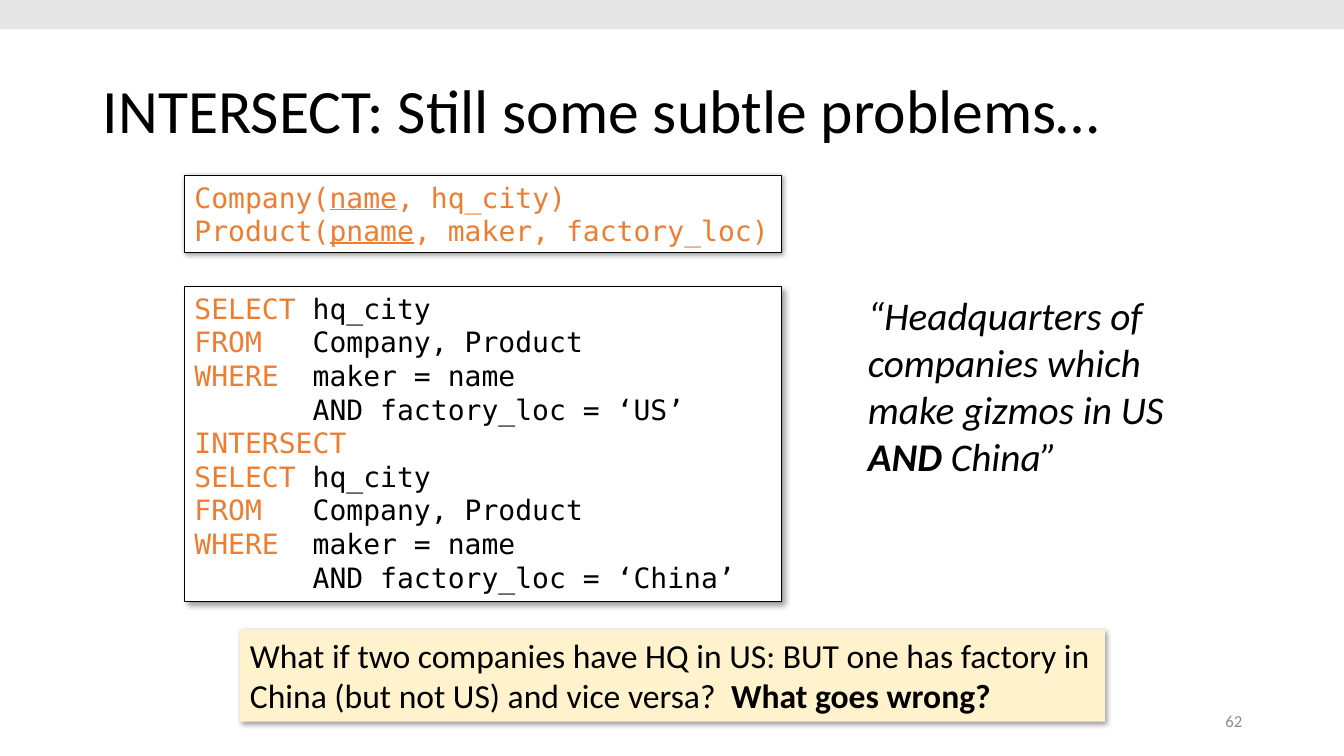
from lxml import etree
from pptx import Presentation
from pptx.dml.color import RGBColor
from pptx.enum.shapes import MSO_SHAPE
from pptx.enum.text import MSO_ANCHOR, PP_ALIGN
from pptx.oxml.ns import qn
from pptx.util import Inches, Pt

RECT = MSO_SHAPE.RECTANGLE
TOP, MIDDLE = MSO_ANCHOR.TOP, MSO_ANCHOR.MIDDLE
LEFT, RIGHT = PP_ALIGN.LEFT, PP_ALIGN.RIGHT
BLACK, ORANGE, WHITE = "000000", "ED7D31", "FFFFFF"
CREAM, PALE, GREY = "FFF2CC", "E7E6E6", "8C8C8C"
BODY, CODE = "Calibri", "DejaVu Sans Mono"


def paint(color, value):
    """Set a colour from a hex string."""
    color.rgb = RGBColor.from_string(value)


def write(shape, lines, look, anchor=TOP, align=LEFT, wrap=True, space=1.0):
    """Fill a shape with lines, each a list of (text, changes to the look)."""
    frame = shape.text_frame
    frame.word_wrap, frame.vertical_anchor = wrap, anchor
    for i, line in enumerate(lines):
        para = frame.add_paragraph() if i else frame.paragraphs[0]
        para.alignment, para.line_spacing = align, space
        for text, change in line:
            run = para.add_run()
            run.text = text
            style = {"color": BLACK, **look, **change}
            paint(run.font.color, style.pop("color"))
            for key, value in style.items():
                setattr(run.font, key, value)


def panel(slide, box, fill, edge=None, drop=0):
    """Draw a filled rectangle with an optional outline and soft shadow."""
    shape = slide.shapes.add_shape(RECT, *map(Inches, box))
    shape.shadow.inherit = False
    shape.fill.solid()
    paint(shape.fill.fore_color, fill)
    if edge:
        paint(shape.line.color, edge)
        shape.line.width = Pt(0.75)
    else:
        shape.line.fill.background()
    if drop:
        effect = shape._element.spPr.find(qn("a:effectLst"))
        shade = etree.SubElement(
            effect, qn("a:outerShdw"), blurRad=str(Pt(4)), dist=str(Pt(drop)),
            dir="2700000", algn="tl", rotWithShape="0")
        tint = etree.SubElement(shade, qn("a:srgbClr"), val=BLACK)
        etree.SubElement(tint, qn("a:alpha"), val="40000")
    return shape


def label(slide, box, lines, look, **layout):
    """Place plain text in a box."""
    write(slide.shapes.add_textbox(*map(Inches, box)), lines, look, **layout)


def head(slide, box, text):
    """Move and fill the title placeholder."""
    title = slide.shapes.title
    title.left, title.top, title.width, title.height = map(Inches, box)
    write(title, [[(text, {})]], {"name": BODY, "size": Pt(44)},
          anchor=MIDDLE, space=0.9)


def schema(slide, box, tables):
    """List table signatures with their keys underlined."""
    lines = [[(f"{table}(", {}), (key, {"underline": True}), (f", {rest})", {})]
             for table, key, rest in tables]
    look = {"name": CODE, "size": Pt(20), "color": ORANGE}
    write(panel(slide, box, WHITE, BLACK, 1), lines, look, wrap=False)


def query(slide, box, places):
    """Show one select per place, joined by INTERSECT."""
    lines = []
    for place in places:
        if lines:
            lines.append([("INTERSECT", {"color": ORANGE})])
        clauses = [("SELECT", "hq_city"), ("FROM", "Company, Product"),
                   ("WHERE", "maker = name"),
                   ("", f"AND factory_loc = ‘{place}’")]
        lines += [[(f"{word:<7}", {"color": ORANGE}), (rest, {})]
                  for word, rest in clauses]
    look = {"name": CODE, "size": Pt(20)}
    write(panel(slide, box, WHITE, BLACK, 3), lines, look)


def quote(slide, box):
    """State the meaning of the query in words."""
    line = [("“Headquarters of companies which make gizmos in US ", {}),
            ("AND", {"bold": True}), (" China”", {})]
    label(slide, box, [line], {"name": BODY, "size": Pt(28), "italic": True})


def prompt(slide, box):
    """Ask the closing question."""
    line = [("What if two companies have HQ in US: BUT one has factory in "
             "China (but not US) and vice versa?  ", {}),
            ("What goes wrong?", {"bold": True})]
    write(panel(slide, box, CREAM, drop=1), [line],
          {"name": BODY, "size": Pt(24)})


def main():
    """Build and save the slide."""
    deck = Presentation()
    deck.slide_width, deck.slide_height = Inches(13.33), Inches(7.5)
    slide = deck.slides.add_slide(deck.slide_layouts[5])
    head(slide, (0.92, 0.4, 11.5, 1.45),
         "INTERSECT: Still some subtle problems…")
    label(slide, (9.42, 6.95, 3, 0.4), [[("62", {})]],
          {"name": BODY, "size": Pt(12), "color": GREY},
          anchor=MIDDLE, align=RIGHT)
    schema(slide, (1.83, 1.74, 5.92, 0.77),
           [("Company", "name", "hq_city"),
            ("Product", "pname", "maker, factory_loc")])
    query(slide, (1.83, 2.84, 5.92, 3.13), ["US", "China"])
    prompt(slide, (2.38, 6.25, 8.58, 0.91))
    quote(slide, (8.51, 2.84, 3.29, 1.99))
    panel(slide, (0, 0, 13.33, 0.29), PALE)
    deck.save("out.pptx")


if __name__ == "__main__":
    main()
